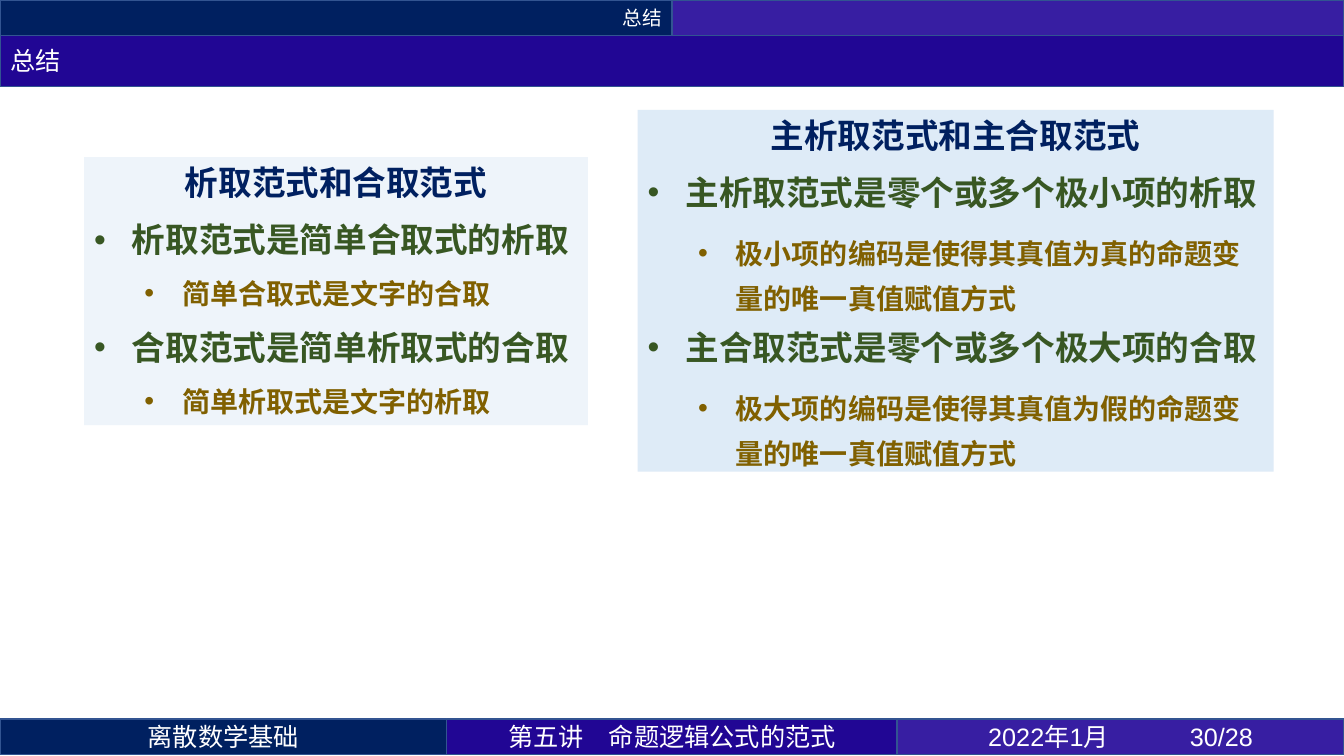
from dataclasses import dataclass

from lxml import etree
from pptx import Presentation
from pptx.dml.color import RGBColor
from pptx.enum import shapes, text
from pptx.oxml import ns
from pptx.util import Pt

NAVY = RGBColor(0x00, 0x20, 0x60)
INDIGO = RGBColor(0x21, 0x06, 0x94)
VIOLET = RGBColor(0x37, 0x1E, 0xA2)
EDGE = RGBColor(0x32, 0x54, 0x91)
PALE = RGBColor(0xDE, 0xEB, 0xF7)
GREEN = RGBColor(0x38, 0x57, 0x23)
OCHRE = RGBColor(0x80, 0x60, 0x00)
WHITE = RGBColor(0xFF, 0xFF, 0xFF)

CJK = "Noto Sans CJK SC"
LEFT, CENTER, RIGHT = text.PP_ALIGN.LEFT, text.PP_ALIGN.CENTER, text.PP_ALIGN.RIGHT
SLIDE_W, SLIDE_H = 960, 540
BAR_H = 25.2
FOOT_Y = 513.6
FOOT_X = (0, 319, 640.8, SLIDE_W)


@dataclass
class Bar:
    left: float
    top: float
    width: float
    fill: RGBColor
    label: str = ""
    size: float = 18
    align: text.PP_ALIGN = CENTER
    font: str = CJK


@dataclass
class Item:
    label: str
    level: int
    after: float = 6
    line: float | None = None


@dataclass
class Panel:
    box: tuple[float, float, float, float]
    heading: str
    items: list[Item]
    alpha: int = 100


BARS = [
    Bar(0, 0, SLIDE_W / 2, NAVY, "总结", 14, RIGHT),
    Bar(SLIDE_W / 2, 0, SLIDE_W / 2, VIOLET),
    *(Bar(x, FOOT_Y, end - x, fill, label, font=font)
      for x, end, fill, label, font in zip(
          FOOT_X, FOOT_X[1:], (NAVY, INDIGO, VIOLET),
          ("离散数学基础", "第五讲\t命题逻辑公式的范式", "2022年1月 \t30/28"),
          (CJK, CJK, "Arial"))),
]

PANELS = [
    Panel((60, 112.2, 360, 191.5), "析取范式和合取范式", [
        Item("析取范式是简单合取式的析取", 0),
        Item("简单合取式是文字的合取", 1),
        Item("合取范式是简单析取式的合取", 0),
        Item("简单析取式是文字的析取", 1, after=3),
    ], alpha=50),
    Panel((455.4, 78.5, 454.3, 258.5), "主析取范式和主合取范式", [
        Item("主析取范式是零个或多个极小项的析取", 0, after=3),
        Item("极小项的编码是使得其真值为真的命题变量的唯一真值赋值方式", 1, 3, 32),
        Item("主合取范式是零个或多个极大项的合取", 0, after=3),
        Item("极大项的编码是使得其真值为假的命题变量的唯一真值赋值方式", 1, 3, 32),
    ]),
]


def add_xml(parent, tag: str, **attrs):
    return etree.SubElement(parent, ns.qn(tag), {k: str(v) for k, v in attrs.items()})


def place(sp, left: float, top: float, width: float, height: float) -> None:
    sp.left, sp.top, sp.width, sp.height = map(Pt, (left, top, width, height))


def paint(sp, fill: RGBColor) -> None:
    sp.fill.solid()
    sp.fill.fore_color.rgb = fill
    sp.line.color.rgb = EDGE
    sp.line.width = Pt(1)


def write(p, label: str, *, size: float, color: RGBColor, font: str = CJK,
          bold: bool = False, align: text.PP_ALIGN = LEFT, before: float = 0,
          after: float = 0, line: float | None = None) -> None:
    p.alignment = align
    p.space_before, p.space_after = Pt(before), Pt(after)
    p.line_spacing = Pt(line) if line else 1.0
    r = p.add_run()
    r.text = label
    r.font.size, r.font.bold, r.font.name = Pt(size), bold, font
    r.font.color.rgb = color
    add_xml(r.font._element, "a:ea", typeface=CJK)


def set_bullet(p, level: int) -> None:
    p.level = level
    pPr = p._p.get_or_add_pPr()
    pPr.set("marL", str(Pt(27 + 36 * level)))
    pPr.set("indent", str(Pt(-27)))
    add_xml(pPr, "a:buFont", typeface="Arial")
    add_xml(pPr, "a:buChar", char="•")


def set_tabs(p) -> None:
    """Put tab stops at one and two inches."""
    tabs = add_xml(p._p.get_or_add_pPr(), "a:tabLst")
    for pos in (72, 144):
        add_xml(tabs, "a:tab", pos=Pt(pos), algn="l")


def draw_bar(s, bar: Bar) -> None:
    sp = s.shapes.add_shape(shapes.MSO_SHAPE.RECTANGLE, 0, 0, 0, 0)
    place(sp, bar.left, bar.top, bar.width, BAR_H)
    sp.shadow.inherit = False
    paint(sp, bar.fill)
    tf = sp.text_frame
    tf.vertical_anchor = text.MSO_ANCHOR.MIDDLE
    if bar.label:
        p = tf.paragraphs[0]
        if "\t" in bar.label:
            set_tabs(p)
        write(p, bar.label, size=bar.size, color=WHITE, font=bar.font, align=bar.align)


def draw_title(sp, label: str) -> None:
    place(sp, 0, BAR_H, SLIDE_W, 36.4)
    paint(sp, INDIGO)
    tf = sp.text_frame
    tf.auto_size = text.MSO_AUTO_SIZE.NONE
    tf.vertical_anchor = text.MSO_ANCHOR.MIDDLE
    write(tf.paragraphs[0], label, size=18, color=WHITE)


def draw_panel(sp, panel: Panel) -> None:
    place(sp, *panel.box)
    sp.fill.solid()
    sp.fill.fore_color.rgb = PALE
    if panel.alpha < 100:
        color = sp._element.spPr.find(".//" + ns.qn("a:srgbClr"))
        add_xml(color, "a:alpha", val=panel.alpha * 1000)
    tf = sp.text_frame
    tf.word_wrap = True
    tf.auto_size = text.MSO_AUTO_SIZE.NONE
    tf.vertical_anchor = text.MSO_ANCHOR.TOP
    p = tf.paragraphs[0]
    pPr = p._p.get_or_add_pPr()
    pPr.set("marL", "0")
    pPr.set("indent", "0")
    add_xml(pPr, "a:buNone")
    write(p, panel.heading, size=24, color=NAVY, bold=True, align=CENTER, after=6)
    for item in panel.items:
        p = tf.add_paragraph()
        set_bullet(p, item.level)
        size, color = ((24, GREEN), (20, OCHRE))[item.level]
        write(p, item.label, size=size, color=color, bold=True,
              before=6, after=item.after, line=item.line)


def main() -> None:
    prs = Presentation()
    prs.slide_width, prs.slide_height = Pt(SLIDE_W), Pt(SLIDE_H)
    s = prs.slides.add_slide(prs.slide_layouts.get_by_name("Two Content"))
    title, *bodies = s.placeholders
    for bar in BARS:
        draw_bar(s, bar)
    draw_title(title, "总结")
    for body, panel in zip(bodies, PANELS):
        draw_panel(body, panel)
    prs.save("out.pptx")


if __name__ == "__main__":
    main()
